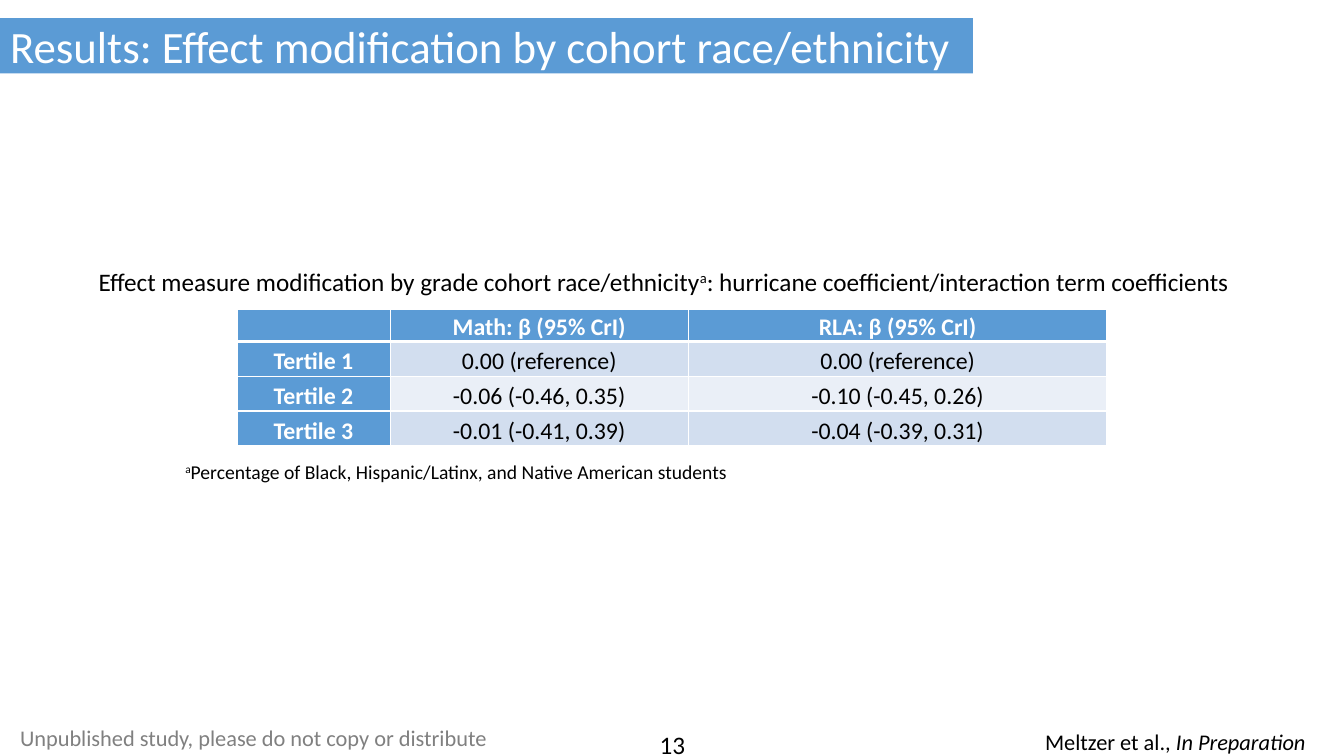
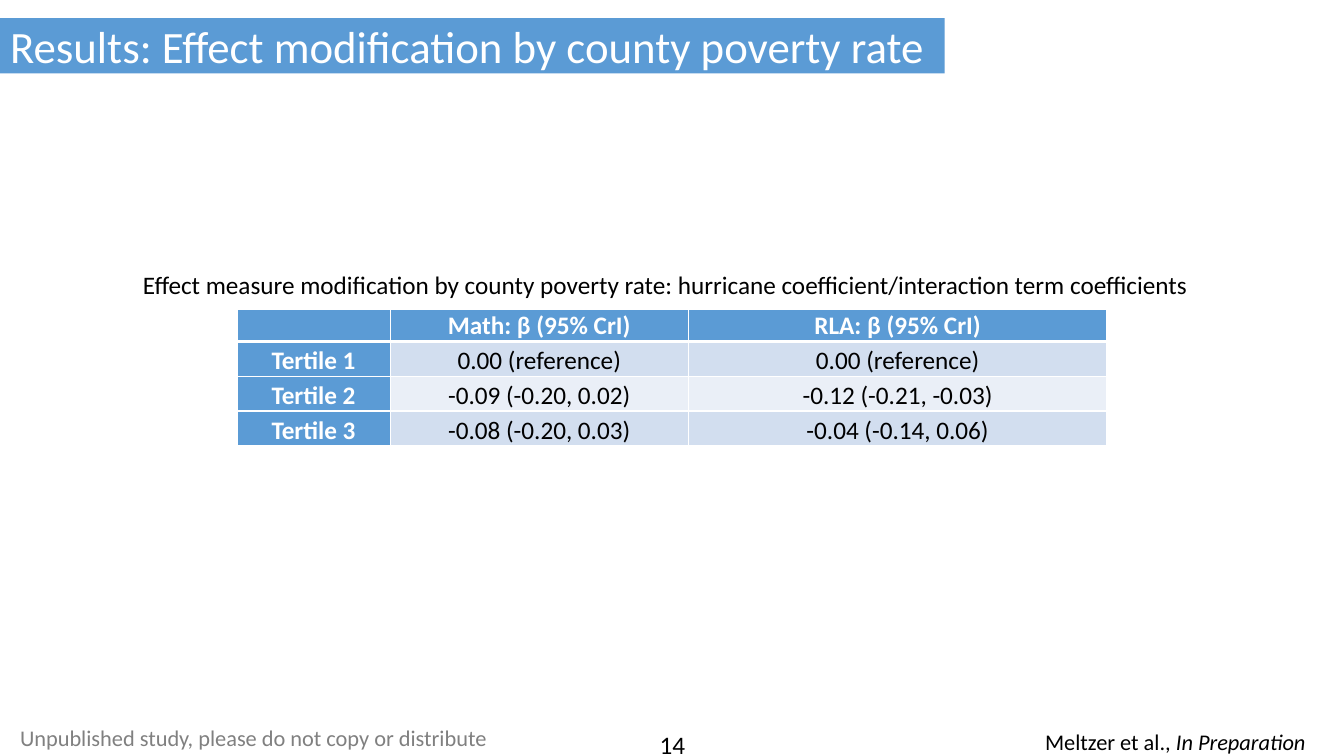
from pptx import Presentation
from pptx.dml.color import RGBColor
from pptx.enum.text import MSO_ANCHOR as Anchor, MSO_AUTO_SIZE as AutoSize, PP_ALIGN as Align
from pptx.oxml import parse_xml
from pptx.oxml.ns import nsdecls
from pptx.util import Inches, Pt

WHITE = RGBColor(0xFF, 0xFF, 0xFF)
BLACK = RGBColor(0x00, 0x00, 0x00)
GREY = RGBColor(0x80, 0x80, 0x80)
BLUE = RGBColor(0x5B, 0x9B, 0xD5)
BANDS = (RGBColor(0xD2, 0xDE, 0xEF), RGBColor(0xEA, 0xEF, 0xF7))

FONT = "Calibri"
TITLE_ONLY = 5

# Table geometry, in percent of the slide's size
TABLE_LEFT, TABLE_TOP = 17.63, 40.93
COLUMN_WIDTHS = (11.4, 22.2, 31.13)
ROW_HEIGHTS = (4.25, 4.6, 4.6, 4.6)
HEADER = ("", "Math: β (95% CrI)", "RLA: β (95% CrI)")
REFERENCE = "0.00 (reference)"


def set_all(target, values):
    for name, value in values.items():
        setattr(target, name, value)


class ResultsDeck:
    """Holds the shared style and the current slide; lengths are percent of the slide."""

    def __init__(self):
        self.deck = Presentation()
        set_all(self.deck, {"slide_width": Inches(13.33), "slide_height": Inches(7.5)})
        self.page = None

    def across(self, percent):
        return round(self.deck.slide_width * percent / 100)

    def down(self, percent):
        return round(self.deck.slide_height * percent / 100)

    def area(self, left, top, width, height):
        return self.across(left), self.down(top), self.across(width), self.down(height)

    def add_spans(self, para, spans, size, color=BLACK, bold=False, align=Align.LEFT):
        """Fill a paragraph from (text, style) pairs; style is "", "italic" or "super"."""
        para.alignment = align
        for text, style in spans:
            span = para.add_run()
            span.text = text
            set_all(span.font, {"name": FONT, "size": Pt(size), "bold": bold,
                                "italic": style == "italic"})
            span.font.color.rgb = color
            if style == "super":
                span._r.get_or_add_rPr().set("baseline", "30000")

    def add_page(self, title, band_width, number):
        self.page = self.deck.slides.add_slide(self.deck.slide_layouts[TITLE_ONLY])
        # Title band
        band = self.page.shapes.title
        places = self.area(0, 2.4, band_width, 7.33)
        set_all(band, dict(zip(("left", "top", "width", "height"), places)))
        band.fill.solid()
        band.fill.fore_color.rgb = BLUE
        set_all(band.text_frame, {"vertical_anchor": Anchor.MIDDLE, "word_wrap": True,
                                  "auto_size": AutoSize.NONE})
        self.add_spans(band.text_frame.paragraphs[0], [(title, "")], 32, WHITE)
        # Footer
        self.add_text((38.78, 95.87, 22.5, 5.33), [(str(number), "")], 18, align=Align.CENTER)
        self.add_text((0.75, 95.07, 36.98, 4.93),
                      [("Unpublished study, please do not copy or distribute", "")], 16, color=GREY)
        self.add_text((77.03, 95.6, 22.5, 4.93),
                      [("Meltzer et al., ", ""), ("In Preparation", "italic")], 16)

    def add_text(self, place, spans, size, wrap=True, **look):
        box = self.page.shapes.add_textbox(*self.area(*place))
        set_all(box.text_frame, {"word_wrap": wrap, "auto_size": AutoSize.NONE})
        self.add_spans(box.text_frame.paragraphs[0], spans, size, **look)

    def add_borders(self, cell, widths):
        props = cell._tc.get_or_add_tcPr()
        for side, width in widths.items():
            props.append(parse_xml(
                f'<a:ln{side} {nsdecls("a")} w="{Pt(width)}"><a:solidFill>'
                f'<a:srgbClr val="{WHITE}"/></a:solidFill></a:ln{side}>'))

    def add_results(self, tertiles, size):
        rows = [HEADER] + [(f"Tertile {rank}", *values)
                           for rank, values in enumerate(tertiles, 1)]
        place = self.area(TABLE_LEFT, TABLE_TOP, sum(COLUMN_WIDTHS), sum(ROW_HEIGHTS))
        table = self.page.shapes.add_table(len(rows), len(HEADER), *place).table
        set_all(table, {"first_col": True, "horz_banding": False})
        for column, width in zip(table.columns, COLUMN_WIDTHS):
            column.width = self.across(width)
        for row, height in zip(table.rows, ROW_HEIGHTS):
            row.height = self.down(height)

        for r, texts in enumerate(rows):
            for c, text in enumerate(texts):
                cell = table.cell(r, c)
                heading = r == 0 or c == 0
                set_all(cell, {"vertical_anchor": Anchor.BOTTOM,
                               "margin_left": Inches(0.12), "margin_right": Inches(0.12),
                               "margin_top": 0, "margin_bottom": 0})
                self.add_borders(cell, {"L": 1, "R": 1, "T": 3 if r == 1 else 1,
                                        "B": 3 if r == 0 else 1})
                cell.fill.solid()
                cell.fill.fore_color.rgb = BLUE if heading else BANDS[(r - 1) % 2]
                if text:
                    self.add_spans(cell.text_frame.paragraphs[0], [(text, "")], size,
                                   WHITE if heading else BLACK, heading, Align.CENTER)


def main():
    results = ResultsDeck()

    # Cohort race/ethnicity
    results.add_page("Results: Effect modification by cohort race/ethnicity", 72.38, 13)
    results.add_results([(REFERENCE, REFERENCE),
                         ("-0.06 (-0.46, 0.35)", "-0.10 (-0.45, 0.26)"),
                         ("-0.01 (-0.41, 0.39)", "-0.04 (-0.39, 0.31)")], 17)
    results.add_text((6.6, 34.53, 86.78, 5.33),
                     [("Effect measure modification by grade cohort race/ethnicity", ""),
                      ("a", "super"),
                      (": hurricane coefficient/interaction term coefficients", "")],
                     18, wrap=False)
    results.add_text((13.05, 60.13, 42.98, 4.53),
                     [("a", "super"),
                      ("Percentage of Black, Hispanic/Latinx, and Native American students", "")],
                     14, wrap=False)

    # County poverty rate
    results.add_page("Results: Effect modification by county poverty rate", 70.28, 14)
    results.add_text((9.9, 34.93, 80.25, 5.33),
                     [("Effect measure modification by county poverty rate: "
                       "hurricane coefficient/interaction term coefficients", "")],
                     18, wrap=False)
    results.add_results([(REFERENCE, REFERENCE),
                         ("-0.09 (-0.20, 0.02)", "-0.12 (-0.21, -0.03)"),
                         ("-0.08 (-0.20, 0.03)", "-0.04 (-0.14, 0.06)")], 18)

    results.deck.save("out.pptx")


if __name__ == "__main__":
    main()
